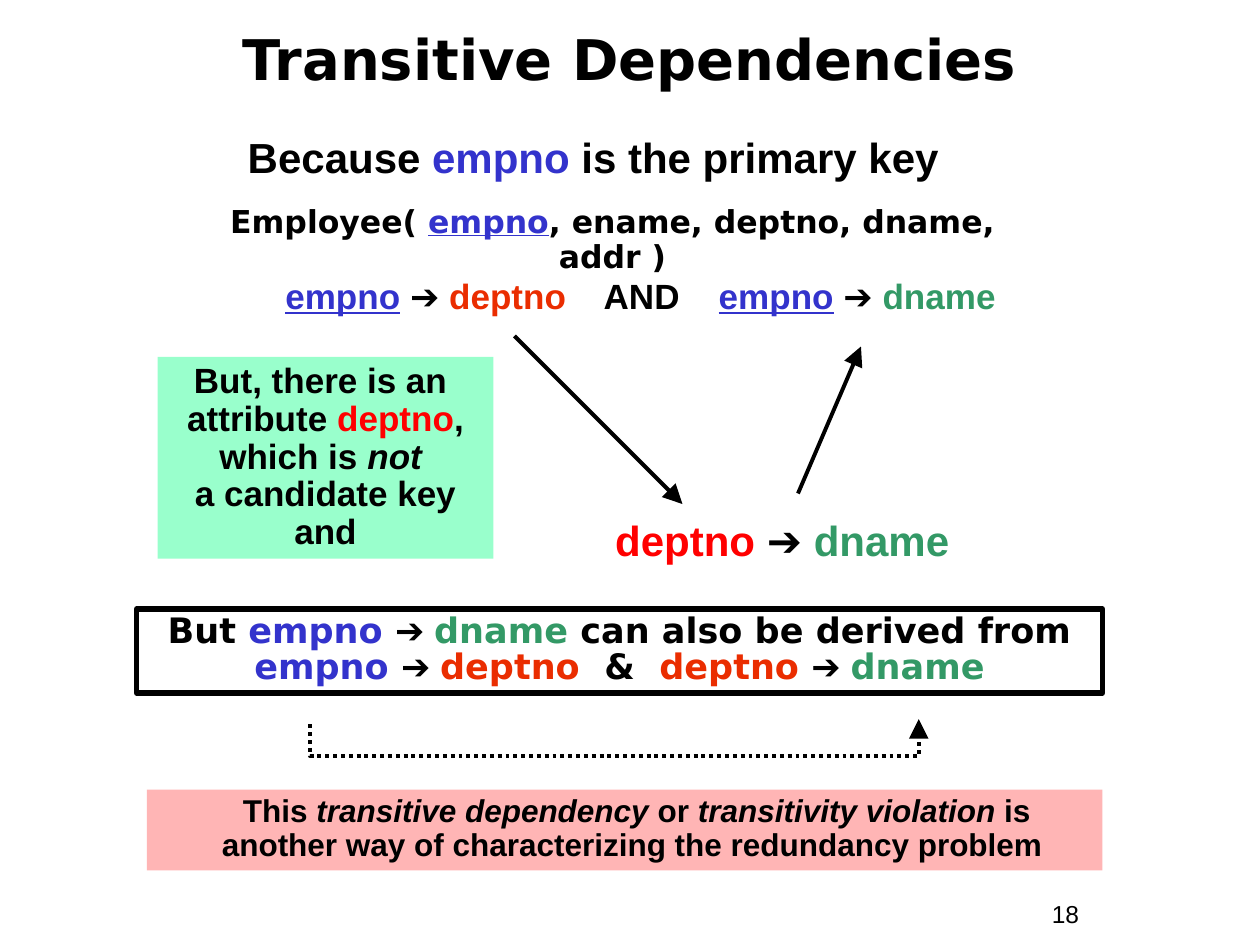
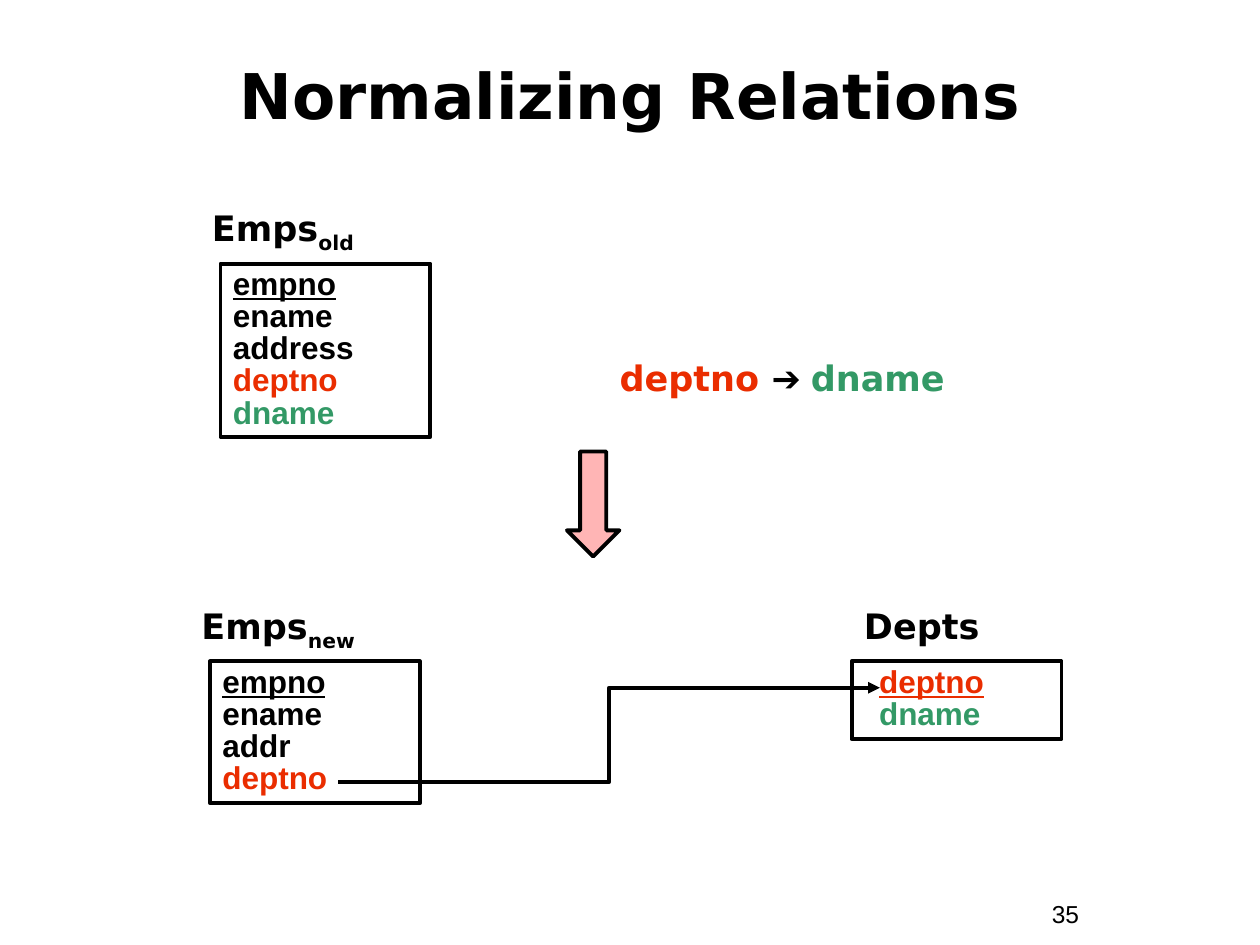
import lxml.etree
import pptx
import pptx.dml.color
import pptx.enum.dml
import pptx.enum.shapes
import pptx.enum.text
import pptx.oxml.ns
import pptx.util

qn = pptx.oxml.ns.qn
SHAPES = pptx.enum.shapes.MSO_SHAPE
LINKS = pptx.enum.shapes.MSO_CONNECTOR
ALIGN = pptx.enum.text.PP_ALIGN
ANCHOR = pptx.enum.text.MSO_ANCHOR


class Theme:
    head, body = "DejaVu Sans", "Arial"
    ink, mint, pink = "000000", "99FFCC", "FFB5B5"
    small, field, label, large = 14, 18, 20, 24
    thin, thick = 2.25, 3
    marks = {
        "key": {"color": "3333CC"},
        "dept": {"color": "EA2D00"},
        "red": {"color": "FF0000"},
        "name": {"color": "339966"},
        "u": {"underline": True},
        "i": {"italic": True},
        "sub": {"base": "-25000"},
        "body": {"name": body},
    }


def rgb(code):
    return pptx.dml.color.RGBColor.from_string(code)


def rule(left, right):
    """Runs for a dependency: left arrow right, each side a (text, marks) pair."""
    return [left, (" ", ""), ("➔ ", "body"), right]


class Deck:
    """Holds the theme and current slide; lengths are cells of a 120 x 90 grid."""

    def __init__(self, theme):
        self.theme = theme
        self.prs = pptx.Presentation()
        self.prs.slide_width = pptx.util.Inches(10)
        self.prs.slide_height = pptx.util.Inches(7.5)
        self.cell = self.prs.slide_width / 120

    def grid(self, *cells):
        return [round(c * self.cell) for c in cells]

    def page(self, title, place, size, number):
        self.slide = self.prs.slides.add_slide(self.prs.slide_layouts[6])
        self.text((99, 85, 11, 4), [[(number, "")]], self.theme.small,
                  bold=False, align=ALIGN.LEFT, space=1)
        self.text(place, [[(title, "")]], size, self.theme.head,
                  space=0.85, anchor=ANCHOR.MIDDLE)

    def paint(self, shape, fill=None, line=None):
        shape.shadow.inherit = False
        if fill:
            shape.fill.solid()
            shape.fill.fore_color.rgb = rgb(fill)
        else:
            shape.fill.background()
        if line:
            shape.line.color.rgb = rgb(self.theme.ink)
            shape.line.width = pptx.util.Pt(line)
        else:
            shape.line.fill.background()

    def shape(self, kind, place, fill=None, line=None):
        shape = self.slide.shapes.add_shape(kind, *self.grid(*place))
        self.paint(shape, fill, line)
        return shape

    def text(self, place, paras, size, font=None, fill=None, line=None, bold=True,
             align=ALIGN.CENTER, space=0.9, indent=0, anchor=ANCHOR.TOP):
        """Each paragraph is a list of (text, marks) runs."""
        if fill or line:
            box = self.shape(SHAPES.RECTANGLE, place, fill, line)
        else:
            box = self.slide.shapes.add_textbox(*self.grid(*place))
        frame = box.text_frame
        frame.word_wrap = True
        frame.vertical_anchor = anchor
        base = {"size": pptx.util.Pt(size), "name": font or self.theme.body,
                "bold": bold, "color": self.theme.ink}
        for n, runs in enumerate(paras):
            para = frame.paragraphs[0] if n == 0 else frame.add_paragraph()
            para.alignment = align
            para.line_spacing = space
            if indent:
                props = para._p.get_or_add_pPr()
                props.set("marL", str(pptx.util.Inches(indent)))
                props.set("indent", "0")
            for words, marks in runs:
                look = dict(base)
                for mark in marks.split():
                    look.update(self.theme.marks[mark])
                for row, part in enumerate(words.split("\n")):
                    if row:
                        para.add_line_break()
                    if part:
                        self.run(para, part, look)

    def run(self, para, words, look):
        run = para.add_run()
        run.text = words
        for key, value in look.items():
            if key == "color":
                run.font.color.rgb = rgb(value)
            elif key == "base":
                run._r.get_or_add_rPr().set("baseline", value)
            else:
                setattr(run.font, key, value)

    def arrow(self, start, end, kind=LINKS.STRAIGHT, head="lg", bend=None, dash=None):
        """A bend makes an elbow leave vertically and turn at that share of its height."""
        if bend is not None:
            mid = [(a + b) / 2 for a, b in zip(start, end)]
            start, end = [(mid[0] + y - mid[1], mid[1] - x + mid[0])
                          for x, y in (start, end)]
        link = self.slide.shapes.add_connector(kind, *self.grid(*start, *end))
        link.line.color.rgb = rgb(self.theme.ink)
        link.line.width = pptx.util.Pt(self.theme.thin)
        if dash:
            link.line.dash_style = dash
        props = link._element.spPr
        if bend is not None:
            props.find(qn("a:xfrm")).set("rot", "5400000")
            guides = props.find(qn("a:prstGeom")).get_or_add_avLst()
            lxml.etree.SubElement(guides, qn("a:gd"), name="adj1",
                                  fmla=f"val {round(bend * 100000)}")
        lxml.etree.SubElement(link.line._get_or_add_ln(), qn("a:tailEnd"),
                              type="triangle", w=head, len=head)
        lxml.etree.SubElement(props, qn("a:effectLst"))

    def table(self, spot, high, title, fields, shift=0, indent=0):
        """A relation: its title above a box of fields."""
        left, top = spot
        look = {"align": ALIGN.LEFT}
        self.text((left - shift, top - 6, 32, 5.6), [title], self.theme.label,
                  self.theme.head, space=1, **look)
        self.text((left, top, 20, high), [[field] for field in fields],
                  self.theme.field, line=self.theme.thin, space=0.85,
                  indent=indent, **look)


def chain(deck):
    theme = deck.theme
    key, dept, name = ("empno", "key"), ("deptno", "dept"), ("dname", "name")
    under = ("empno", "key u")
    deck.page("Transitive Dependencies", (19, 2, 82, 8), 32, "18")
    deck.arrow((49, 32), (65, 48))
    deck.arrow((76, 47), (82, 33))
    deck.text((13, 58, 92, 8),
              [[("But ", ""), *rule(key, name), (" can also be derived from\n", ""),
                *rule(key, dept), ("  &  ", ""), *rule(dept, name)]],
              theme.label, theme.head, line=theme.thick, space=0.85)
    deck.text((17, 12.5, 79, 5.5),
              [[("Because ", ""), key, (" is the primary key", "")]], theme.large)
    deck.text((18.1, 19.1, 78.2, 4.4),
              [[("Employee( ", ""), under, (", ename, deptno, dname, addr )", "")]],
              theme.field, theme.head, indent=0.19)
    deck.text((12, 26, 98, 4.8),
              [[*rule(under, dept), ("    AND    ", ""), *rule(under, name)]],
              theme.label)
    deck.text((15, 34, 32, 19.2),
              [[("But, there is an \nattribute ", ""), ("deptno", "red"),
                (",\nwhich is ", ""), ("not \n", "i"), ("a candidate key\nand", "")]],
              theme.label, fill=theme.mint)
    deck.text((56, 49, 37, 5.5), [rule(("deptno", "red"), name)], theme.large)
    deck.arrow((29.5, 69), (87.5, 68.5), LINKS.ELBOW, bend=-6,
               dash=pptx.enum.dml.MSO_LINE.ROUND_DOT)
    deck.text((14, 75.2, 91, 7.7),
              [[("This ", ""), ("transitive dependency ", "i"), ("or ", ""),
                ("transitivity violation", "i"),
                (" is another way of characterizing the redundancy problem ", "")]],
              theme.field, fill=theme.pink, indent=0.19)


def split(deck):
    theme = deck.theme
    dept, name = ("deptno", "dept"), ("dname", "name")
    start = [("empno", "u"), ("ename", "")]
    deck.page("Normalizing Relations", (4, 4, 112, 11), 36, "35")
    deck.table((20, 63), 13.5, [("Emps", ""), ("new", "sub")],
               start + [("addr", ""), dept], shift=2)
    deck.table((81.1, 63), 7.4, [("Depts", "")],
               [("deptno", "dept u"), name], indent=0.12)
    deck.arrow((32.2, 74.5), (83.8, 65.5), LINKS.ELBOW, head="med")
    deck.table((21, 25.1), 16.5, [("Emps", ""), ("old", "sub")],
               start + [("address", ""), dept, name], shift=2)
    deck.text((53, 34, 43, 4.7), [rule(dept, name)], theme.label, theme.head,
              space=0.85)
    deck.shape(SHAPES.DOWN_ARROW, (54, 43, 5, 10), theme.pink, theme.thin)


def main():
    deck = Deck(Theme)
    chain(deck)
    split(deck)
    deck.prs.save("out.pptx")


if __name__ == "__main__":
    main()
